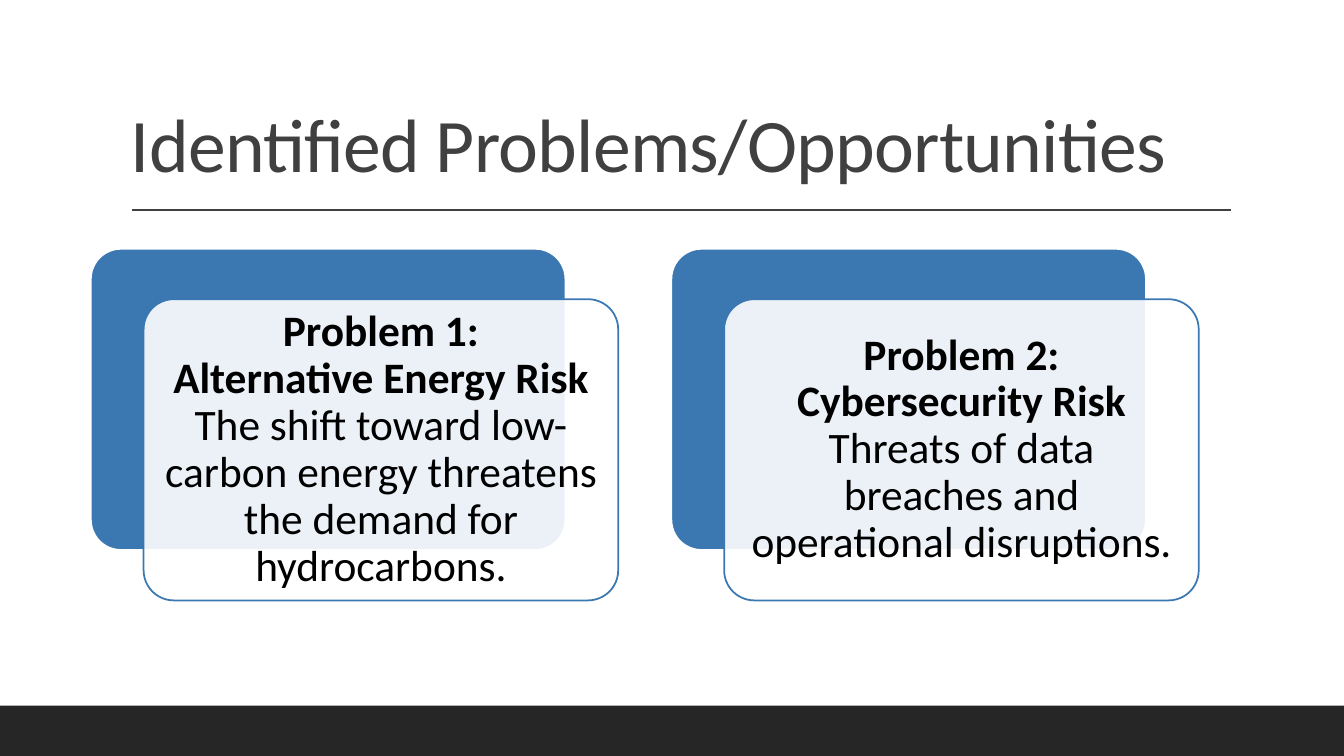
from lxml import etree
from pptx import Presentation
from pptx.dml.color import RGBColor
from pptx.enum.shapes import MSO_CONNECTOR, MSO_SHAPE
from pptx.enum.text import MSO_ANCHOR, PP_ALIGN
from pptx.oxml.ns import qn
from pptx.util import Cm, Pt

RECTANGLE = MSO_SHAPE.RECTANGLE
ROUNDED = MSO_SHAPE.ROUNDED_RECTANGLE
STRAIGHT = MSO_CONNECTOR.STRAIGHT
BOTTOM, MIDDLE = MSO_ANCHOR.BOTTOM, MSO_ANCHOR.MIDDLE
CENTER = PP_ALIGN.CENTER

FONT = "Calibri"
WHITE, BLACK, BLUE = "FFFFFF", "000000", "3B77B1"
GRAY, CHARCOAL = "404040", "262626"
SLIDE_WIDTH, SLIDE_HEIGHT = 33.87, 19.05

PROBLEMS = [
    ("Problem 1:", "Alternative Energy Risk",
     "The shift toward low-carbon energy threatens the demand for hydrocarbons."),
    ("Problem 2:", "Cybersecurity Risk",
     "Threats of data breaches and operational disruptions."),
]


def color(value):
    return RGBColor.from_string(value)


def add_run(paragraph, text, size, ink, bold=False):
    run = paragraph.add_run()
    run.text = text
    run.font.name = FONT
    run.font.size = Pt(size)
    run.font.bold = bold
    run.font.color.rgb = color(ink)
    return run


def add_panel(slide, preset, left, top, width, height, fill, outline=None):
    panel = slide.shapes.add_shape(preset, Cm(left), Cm(top), Cm(width), Cm(height))
    panel.shadow.inherit = False
    panel.fill.solid()
    panel.fill.fore_color.rgb = color(fill)
    if outline:
        panel.line.color.rgb = color(outline)
        panel.line.width = Pt(1.25)
    else:
        panel.line.fill.background()
    return panel


def add_heading(slide, left, top, width, height):
    heading = slide.shapes.add_textbox(Cm(left), Cm(top), Cm(width), Cm(height))
    frame = heading.text_frame
    frame.word_wrap = True
    frame.vertical_anchor = BOTTOM
    paragraph = frame.paragraphs[0]
    paragraph.line_spacing = 0.8
    run = add_run(paragraph, "Identified Problems/Opportunities", 54, GRAY)
    run.font._element.set("spc", "-50")

    rule_left, rule_top = left + 0.28, top + height + 0.46
    rule = slide.shapes.add_connector(
        STRAIGHT, Cm(rule_left), Cm(rule_top), Cm(rule_left + 27.69), Cm(rule_top))
    rule.line.color.rgb = color(GRAY)
    rule.line.width = Pt(1)
    etree.SubElement(rule._element.spPr, qn("a:effectLst"))


def add_problem(slide, left, top, width, height, problem):
    label, risk, description = problem
    offset_x, offset_y = 1.33, 1.27
    backing = add_panel(slide, ROUNDED, left, top, width, height, BLUE, WHITE)
    card = add_panel(slide, ROUNDED, left + offset_x, top + offset_y,
                     width, height, WHITE, BLUE)
    for plate in (backing, card):
        plate.adjustments[0] = 0.1
    card_color = card.fill._xPr.find(qn("a:solidFill"))[0]
    etree.SubElement(card_color, qn("a:alpha"), val="90000")

    frame = card.text_frame
    frame.word_wrap = True
    frame.vertical_anchor = MIDDLE
    frame.margin_left = frame.margin_right = Cm(0.3)
    frame.margin_top = frame.margin_bottom = Cm(0.33)
    paragraph = frame.paragraphs[0]
    paragraph.alignment = CENTER
    paragraph.line_spacing = 0.9
    for line in (label, risk):
        add_run(paragraph, line, 31, BLACK, bold=True)
        paragraph.add_line_break()
    add_run(paragraph, description, 31, BLACK)


def add_problems(slide, left, top, height):
    width, pitch = 11.96, 14.63
    for index, problem in enumerate(PROBLEMS):
        add_problem(slide, left + index * pitch, top, width, height, problem)


def add_footer(slide, height):
    add_panel(slide, RECTANGLE, 0, SLIDE_HEIGHT - height, SLIDE_WIDTH, height, CHARCOAL)


def main():
    presentation = Presentation()
    presentation.slide_width = Cm(SLIDE_WIDTH)
    presentation.slide_height = Cm(SLIDE_HEIGHT)
    slide = presentation.slides.add_slide(presentation.slide_layouts[6])
    slide.background.fill.solid()
    slide.background.fill.fore_color.rgb = color(WHITE)
    add_heading(slide, 3.05, 0.79, 27.94, 4.04)
    add_footer(slide, 1.27)
    add_problems(slide, 2.29, 6.27, 7.59)
    presentation.save("out.pptx")


if __name__ == "__main__":
    main()
